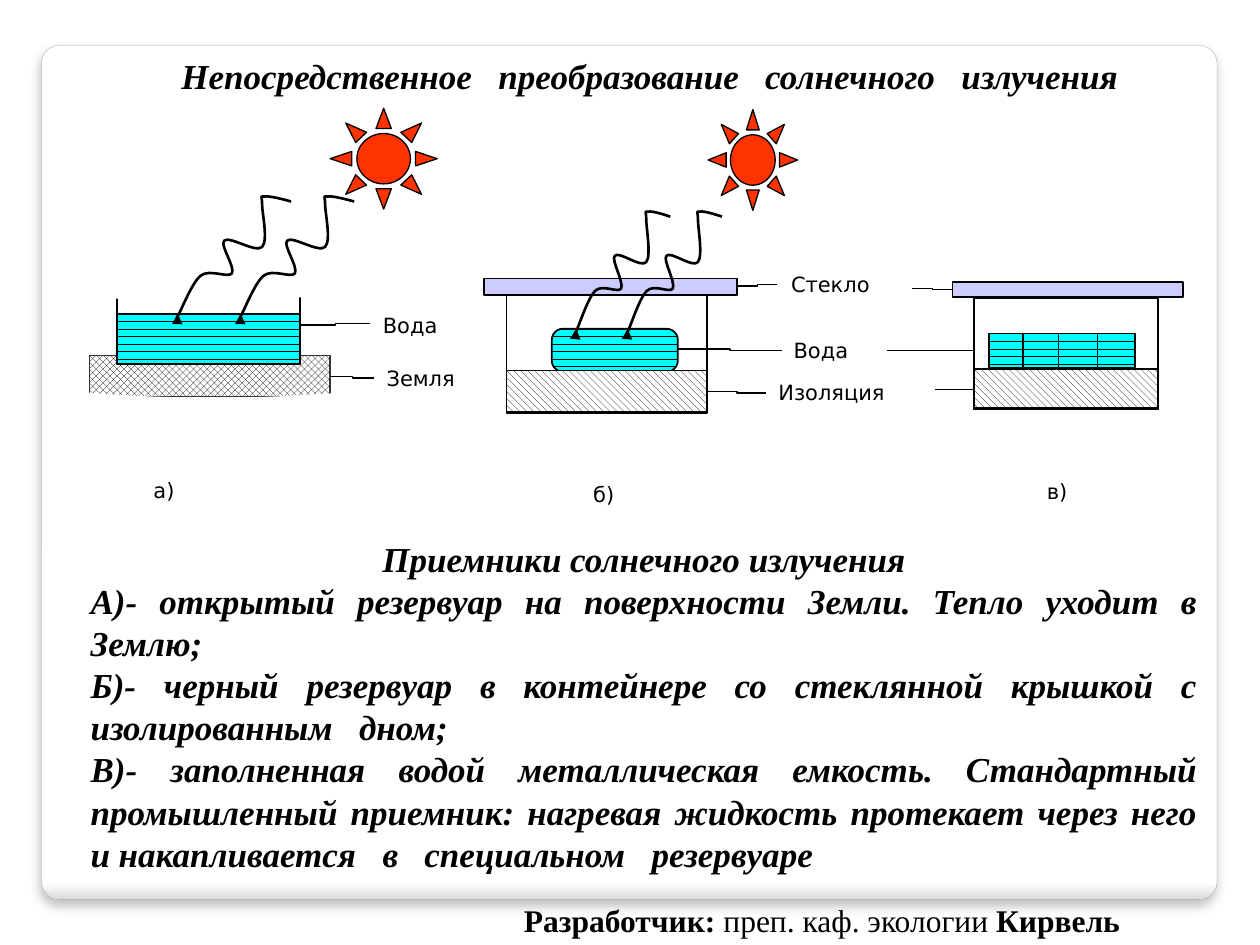
import pptx
import pptx.util
import pptx.dml.color
import pptx.enum.dml
import pptx.enum.shapes
import pptx.enum.text
import pptx.oxml
import pptx.oxml.ns

Inch, Pt = pptx.util.Inches, pptx.util.Pt
Kind = pptx.enum.shapes.MSO_SHAPE
Link = pptx.enum.shapes.MSO_CONNECTOR
Align = pptx.enum.text.PP_ALIGN
Hatch = pptx.enum.dml.MSO_PATTERN
qn = pptx.oxml.ns.qn
NS = pptx.oxml.ns.nsdecls("a")
SERIF, SANS = "Times New Roman", "DejaVu Sans"

# Text: "|" marks a wide gap between words
TITLE = "Непосредственное|преобразование|солнечного|излучения"
HEAD = "Приемники солнечного излучения"
NOTES = [
    "А)- открытый резервуар на поверхности Земли. Тепло уходит в Землю;",
    "Б)- черный резервуар в контейнере со стеклянной крышкой с изолированным|дном;",
    "В)- заполненная водой металлическая емкость. Стандартный промышленный приемник: "
    "нагревая жидкость протекает через него и накапливается|в|специальном|резервуаре",
]
CREDIT = [("Разработчик:", True), (" преп. каф. экологии ", False), ("Кирвель", True)]
LABELS = [  # text, left, top, width
    ("Вода", 2.94, 2.43, 0.82), ("Земля", 2.97, 2.85, 0.93),
    ("Стекло", 6.18, 2.11, 1.06), ("Вода", 6.2, 2.63, 0.82),
    ("Изоляция", 6.08, 2.96, 1.34),
    ("а)", 1.12, 3.74, 0.47), ("б)", 4.61, 3.77, 0.49), ("в)", 8.21, 3.75, 0.48),
]

# Fills: a colour, or a pattern with its back colour
WATER = (Hatch.DASHED_HORIZONTAL, "00FFFF")
EARTH = (Hatch.OUTLINED_DIAMOND, "FFFFFF")
FOAM = (Hatch.WIDE_DOWNWARD_DIAGONAL, "FFFFFF")
GLASS, WHITE, BLACK, RED = "CCCCFF", "FFFFFF", "000000", "FF3300"

# Parts: kind, left, top, width, height, fill, line colour, line width
OPEN = [
    (Kind.RECTANGLE, 0.93, 2.34, 1.45, 0.49, WHITE, BLACK, 1),
    (Kind.RECTANGLE, 0.71, 2.82, 1.91, 0.33, EARTH, "333333", 0.75),
    (Kind.RECTANGLE, 0.93, 2.49, 1.45, 0.4, WATER, BLACK, 1),
    (Kind.SUN, 2.62, 0.86, 0.85, 0.8, RED, BLACK, 0.75),
]
GLAZED = [
    (Kind.RECTANGLE, 4.02, 2.34, 1.59, 0.94, WHITE, BLACK, 1),
    (Kind.ROUNDED_RECTANGLE, 4.38, 2.61, 1, 0.34, WATER, BLACK, 1),
    (Kind.RECTANGLE, 4.02, 2.94, 1.59, 0.33, FOAM, BLACK, 1),
    (Kind.RECTANGLE, 3.84, 2.21, 2.01, 0.13, GLASS, BLACK, 1),
    (Kind.SUN, 5.62, 0.87, 0.71, 0.8, RED, BLACK, 0.75),
]
METAL = [
    (Kind.RECTANGLE, 7.73, 2.37, 1.46, 0.88, WHITE, BLACK, 1),
    (Kind.RECTANGLE, 7.73, 2.93, 1.46, 0.31, FOAM, BLACK, 1),
    (Kind.RECTANGLE, 7.56, 2.24, 1.83, 0.12, GLASS, BLACK, 1),
    (Kind.RECTANGLE, 7.85, 2.65, 1.16, 0.27, WATER, BLACK, 0.75),
]
LEADS = [  # x1, y1, x2, y2
    (2.62, 2.99, 2.97, 3), (2.39, 2.58, 2.94, 2.57),
    (5.62, 3.11, 6.08, 3.12), (5.38, 2.77, 6.21, 2.78),
    (5.85, 2.27, 6.17, 2.26), (7.04, 2.78, 7.73, 2.78),
    (7.24, 2.29, 7.56, 2.3), (7.42, 3.09, 7.73, 3.09),
]
# Ray: curve points from its start, three to a curve
RAY = [
    (-0.03, -0.01), (-0.18, -0.05), (-0.21, -0.04), (-0.25, -0.04), (-0.23, -0.05),
    (-0.23, 0.02), (-0.23, 0.09), (-0.18, 0.31), (-0.23, 0.36), (-0.28, 0.41),
    (-0.49, 0.27), (-0.53, 0.31), (-0.57, 0.34), (-0.44, 0.52), (-0.47, 0.57),
    (-0.5, 0.61), (-0.65, 0.53), (-0.72, 0.59), (-0.79, 0.65), (-0.87, 0.86),
    (-0.9, 0.91), (-0.92, 0.96), (-0.88, 0.88), (-0.88, 0.87), (-0.88, 0.87),
    (-0.89, 0.88), (-0.9, 0.89),
]
STARTS = [(2.81, 1.6, 1), (2.31, 1.6, 1), (5.73, 1.72, 0.83), (5.32, 1.72, 0.83)]

deck = pptx.Presentation()
deck.slide_width, deck.slide_height = Inch(10), Inch(7.5)
slide = deck.slides.add_slide(deck.slide_layouts[6])
shapes = slide.shapes


def tint(code):
    return pptx.dml.color.RGBColor.from_string(code)


def paint(shape, fill, edge, width):
    if fill is None:
        shape.fill.background()
    elif isinstance(fill, tuple):
        shape.fill.patterned()
        shape.fill.pattern = fill[0]
        shape.fill.fore_color.rgb = tint(BLACK)
        shape.fill.back_color.rgb = tint(fill[1])
    else:
        shape.fill.solid()
        shape.fill.fore_color.rgb = tint(fill)
    shape.line.color.rgb = tint(edge)
    shape.line.width = Pt(width)
    shape.shadow.inherit = False


def part(kind, x, y, w, h, fill, edge, width):
    shape = shapes.add_shape(kind, Inch(x), Inch(y), Inch(w), Inch(h))
    paint(shape, fill, edge, width)
    return shape


def wire(kind, x1, y1, x2, y2, edge=BLACK, width=0.75):
    line = shapes.add_connector(kind, Inch(x1), Inch(y1), Inch(x2), Inch(y2))
    line.line.color.rgb = tint(edge)
    line.line.width = Pt(width)
    line._element.spPr.append(pptx.oxml.parse_xml(f"<a:effectLst {NS}/>"))


def ray(x, y, scale):
    pen = shapes.build_freeform(Inch(x), Inch(y))
    pen.add_line_segments([(Inch(x + dx * scale), Inch(y + dy)) for dx, dy in RAY], close=False)
    shape = pen.convert_to_shape()
    # Every three points become one curve
    steps = list(shape._element.iter(qn("a:lnTo")))
    for i in range(0, len(steps), 3):
        curve = pptx.oxml.parse_xml(f"<a:cubicBezTo {NS}/>")
        steps[i].addprevious(curve)
        for step in steps[i:i + 3]:
            curve.append(step[0])
            step.getparent().remove(step)
    paint(shape, None, BLACK, 1.5)
    shape.line._get_or_add_ln().append(pptx.oxml.parse_xml(f'<a:tailEnd {NS} type="triangle"/>'))


def box(x, y, w, h):
    frame = shapes.add_textbox(Inch(x), Inch(y), Inch(w), Inch(h)).text_frame
    frame.word_wrap = True
    return frame


def add(para, text, face, size, bold=False, slant=False):
    run = para.add_run()
    run.text = text
    font = run.font
    font.name, font.size, font.bold, font.italic = face, Pt(size), bold, slant
    font.color.rgb = tint(BLACK)
    return run


def prose(para, text, align):
    para.alignment = align
    for i, piece in enumerate(text.split("|")):
        if i:
            gap = add(para, " ", SERIF, 20, True, True)
            gap._r.get_or_add_rPr().set("spc", "1000")
        add(para, piece, SERIF, 20, True, True)


# Card with a soft shadow
card = part(Kind.ROUNDED_RECTANGLE, 0.33, 0.36, 9.33, 6.78, WHITE, "A4A4A4", 0.16)
card.adjustments[0] = 0.021
card.fill.gradient()
card.fill.gradient_angle = 270
for stop, (place, code) in zip(card.fill.gradient_stops, [(0.98, WHITE), (1, "DADADA")]):
    stop.position = place
    stop.color.rgb = tint(code)
card._element.spPr.find(qn("a:effectLst")).append(pptx.oxml.parse_xml(
    f'<a:outerShdw {NS} blurRad="{Pt(6)}" dist="{Pt(4)}" dir="5400000" algn="t" rotWithShape="0">'
    '<a:srgbClr val="000000"><a:alpha val="25000"/></a:srgbClr></a:outerShdw>'))

# Open tank, with its rim and the curved edge of the ground
for item in OPEN:
    part(*item)
wire(Link.STRAIGHT, 0.81, 2.35, 2.4, 2.34, WHITE, 3)
edge = part(Kind.MOON, 1.51, 2.23, 0.37, 2.14, WHITE, WHITE, 0.75)
edge.rotation = 270
edge.adjustments[0] = 0.875

# Glazed and metal tanks
for item in GLAZED + METAL:
    shape = part(*item)
    if item[0] == Kind.ROUNDED_RECTANGLE:
        shape.adjustments[0] = 0.258
for x in (8.12, 8.4, 8.71):
    wire(Link.STRAIGHT, x, 2.65, x, 2.93)

# Rays, leader lines and labels
for start in STARTS:
    ray(*start)
for lead in LEADS:
    wire(Link.ELBOW, *lead)
for text, x, y, w in LABELS:
    add(box(x, y, w, 0.53).paragraphs[0], text, SANS, 12)

# Title, notes and credit
frame = box(0.31, 0.31, 9.3, 0.39)
frame.margin_left, frame.margin_top = Inch(0.49), Inch(0.12)
prose(frame.paragraphs[0], TITLE, Align.CENTER)

frame = box(0.62, 4.22, 8.98, 2.8)
prose(frame.paragraphs[0], HEAD, Align.CENTER)
for note in NOTES:
    prose(frame.add_paragraph(), note, Align.JUSTIFY)

para = box(4.06, 7.1, 5.55, 0.4).paragraphs[0]
for text, bold in CREDIT:
    add(para, text, SERIF, 18, bold)

deck.save("out.pptx")
